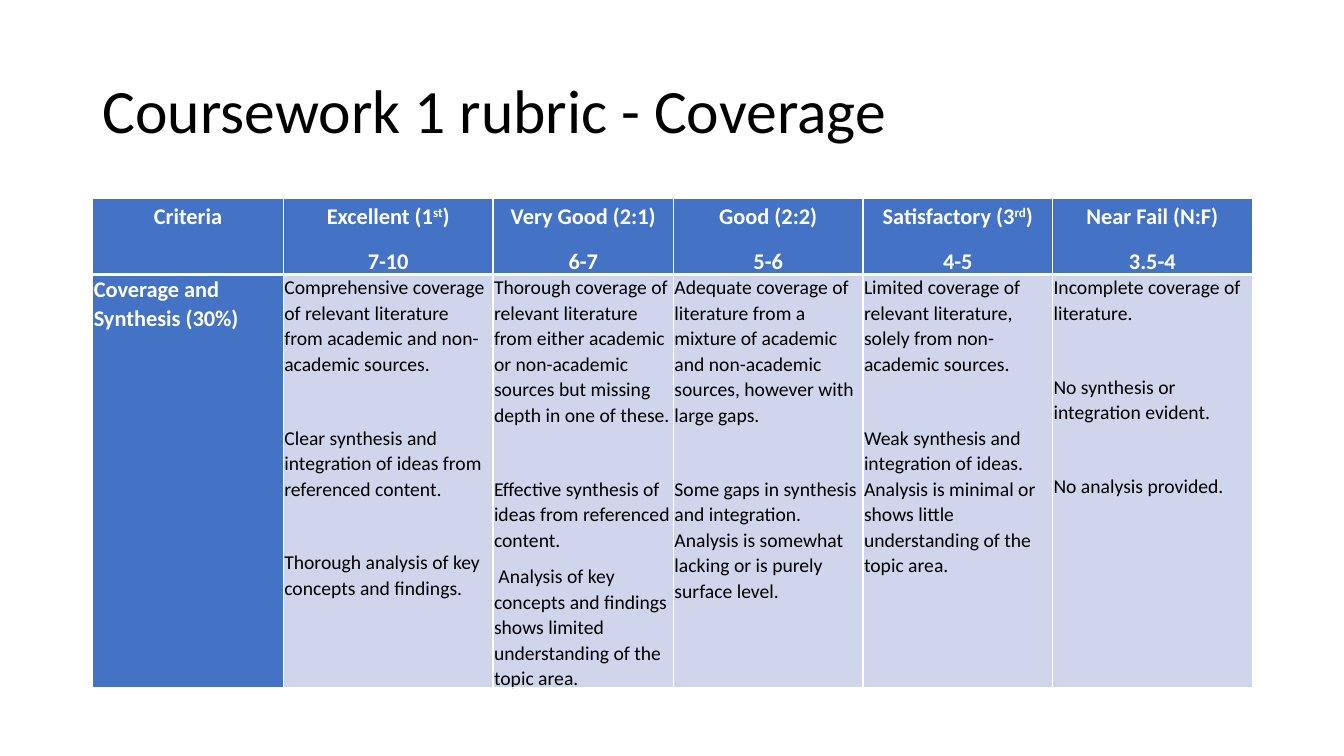
import pptx
import pptx.util
import pptx.dml.color
import pptx.enum.text
import pptx.oxml.ns
import lxml.etree
from pptx.util import Inches

COLORS = {"white": "FFFFFF", "black": "000000", "blue": "4472C4", "pale": "CFD5EA"}
FONT = "Calibri"
ALIGN = pptx.enum.text.PP_ALIGN

COLUMN_WIDTHS = [1.89, 2.08, 1.79, 1.88, 1.88, 1.98]
ROW_HEIGHTS = [0.75, 4.1]

# Grade name, raised ordinal suffix, closing text, marks
GRADES = [
    ("Excellent (1", "st", ")", "7-10"),
    ("Very Good (2:1)", "", "", "6-7"),
    ("Good (2:2)", "", "", "5-6"),
    ("Satisfactory (3", "rd", ")", "4-5"),
    ("Near Fail (N:F)", "", "", "3.5-4"),
]

# Paragraphs for each grade
DESCRIPTIONS = [
    ["Comprehensive coverage of relevant literature from academic and non-academic sources.",
     "Clear synthesis and integration of ideas from referenced content.",
     "Thorough analysis of key concepts and findings."],
    ["Thorough coverage of relevant literature from either academic or non-academic "
     "sources but missing depth in one of these.",
     "Effective synthesis of ideas from referenced content.",
     " Analysis of key concepts and findings shows limited understanding of the topic area."],
    ["Adequate coverage of literature from a mixture of academic and non-academic "
     "sources, however with large gaps.",
     "Some gaps in synthesis and integration. Analysis is somewhat lacking or is "
     "purely surface level."],
    ["Limited coverage of relevant literature, solely from non-academic sources.",
     "Weak synthesis and integration of ideas. Analysis is minimal or shows little "
     "understanding of the topic area."],
    ["Incomplete coverage of literature.",
     "No synthesis or integration evident.",
     "No analysis provided."],
]
WIDE_GAP, NARROW_GAP = 34.5, 8


class RubricSlide:
    def __init__(self, deck):
        self.page = deck.slides.add_slide(deck.slide_layouts[6])

    def color(self, name):
        return pptx.dml.color.RGBColor.from_string(COLORS[name])

    def style(self, para, size, color, bold=False, align=ALIGN.LEFT, line=1.0, after=0):
        para.font.name = FONT
        para.font.size = pptx.util.Pt(size)
        para.font.bold = bold
        para.font.color.rgb = self.color(color)
        para.alignment = align
        para.line_spacing = line
        para.space_after = pptx.util.Pt(after)

    def title(self, text, left, top, width, height):
        box = self.page.shapes.add_textbox(
            Inches(left), Inches(top), Inches(width), Inches(height))
        box.text_frame.word_wrap = True
        box.text_frame.vertical_anchor = pptx.enum.text.MSO_ANCHOR.MIDDLE
        para = box.text_frame.paragraphs[0]
        para.text = text
        self.style(para, 44, "black", line=0.9)

    def table(self, left, top):
        frame = self.page.shapes.add_table(
            len(ROW_HEIGHTS), len(COLUMN_WIDTHS), Inches(left), Inches(top),
            Inches(sum(COLUMN_WIDTHS)), Inches(sum(ROW_HEIGHTS)))
        table = frame.table
        table.horz_banding = False
        for column, width in zip(table.columns, COLUMN_WIDTHS):
            column.width = Inches(width)
        for row, height in zip(table.rows, ROW_HEIGHTS):
            row.height = Inches(height)
        return table

    def cell(self, cell, fill, top_line=1, bottom_line=1):
        cell.margin_left = cell.margin_right = Inches(0.01)
        cell.margin_top = cell.margin_bottom = 0
        properties = cell._tc.get_or_add_tcPr()
        for side, width in (("L", 1), ("R", 1), ("T", top_line), ("B", bottom_line)):
            line = lxml.etree.SubElement(
                properties, pptx.oxml.ns.qn(f"a:ln{side}"), w=str(pptx.util.Pt(width)))
            solid = lxml.etree.SubElement(line, pptx.oxml.ns.qn("a:solidFill"))
            lxml.etree.SubElement(solid, pptx.oxml.ns.qn("a:srgbClr"), val=COLORS["white"])
        cell.fill.solid()
        cell.fill.fore_color.rgb = self.color(fill)

    def header(self, cell, name, suffix="", closing="", marks=""):
        self.cell(cell, "blue", bottom_line=3)
        para = cell.text_frame.paragraphs[0]
        para.add_run().text = name
        if suffix:
            span = para.add_run()
            span.text = suffix
            span._r.get_or_add_rPr().set("baseline", "30000")
            para.add_run().text = closing
        if marks:
            cell.text_frame.add_paragraph().text = marks
        for para in cell.text_frame.paragraphs:
            self.style(para, 16, "white", True, ALIGN.CENTER, 1.15, 10)

    def body(self, cell, texts, fill="pale", size=14, color="black", bold=False):
        self.cell(cell, fill, top_line=3)
        cell.text_frame.text = "\n".join(texts)
        paras = cell.text_frame.paragraphs
        for index, para in enumerate(paras):
            following = texts[index + 1:index + 2]
            wide = following and not following[0].startswith(" ")
            self.style(para, size, color, bold, line=1.07,
                       after=WIDE_GAP if wide else NARROW_GAP)


def main():
    deck = pptx.Presentation()
    deck.slide_width, deck.slide_height = Inches(13.33), Inches(7.5)
    slide = RubricSlide(deck)

    # Title
    slide.title("Coursework 1 rubric - Coverage", 0.92, 0.4, 11.5, 1.45)

    # Criteria column
    table = slide.table(0.92, 1.97)
    slide.header(table.cell(0, 0), "Criteria")
    slide.body(table.cell(1, 0), ["Coverage and Synthesis (30%)"], "blue", 16, "white", True)

    # Grade columns
    for column, (grade, texts) in enumerate(zip(GRADES, DESCRIPTIONS), start=1):
        slide.header(table.cell(0, column), *grade)
        slide.body(table.cell(1, column), texts)

    deck.save("out.pptx")


if __name__ == "__main__":
    main()
